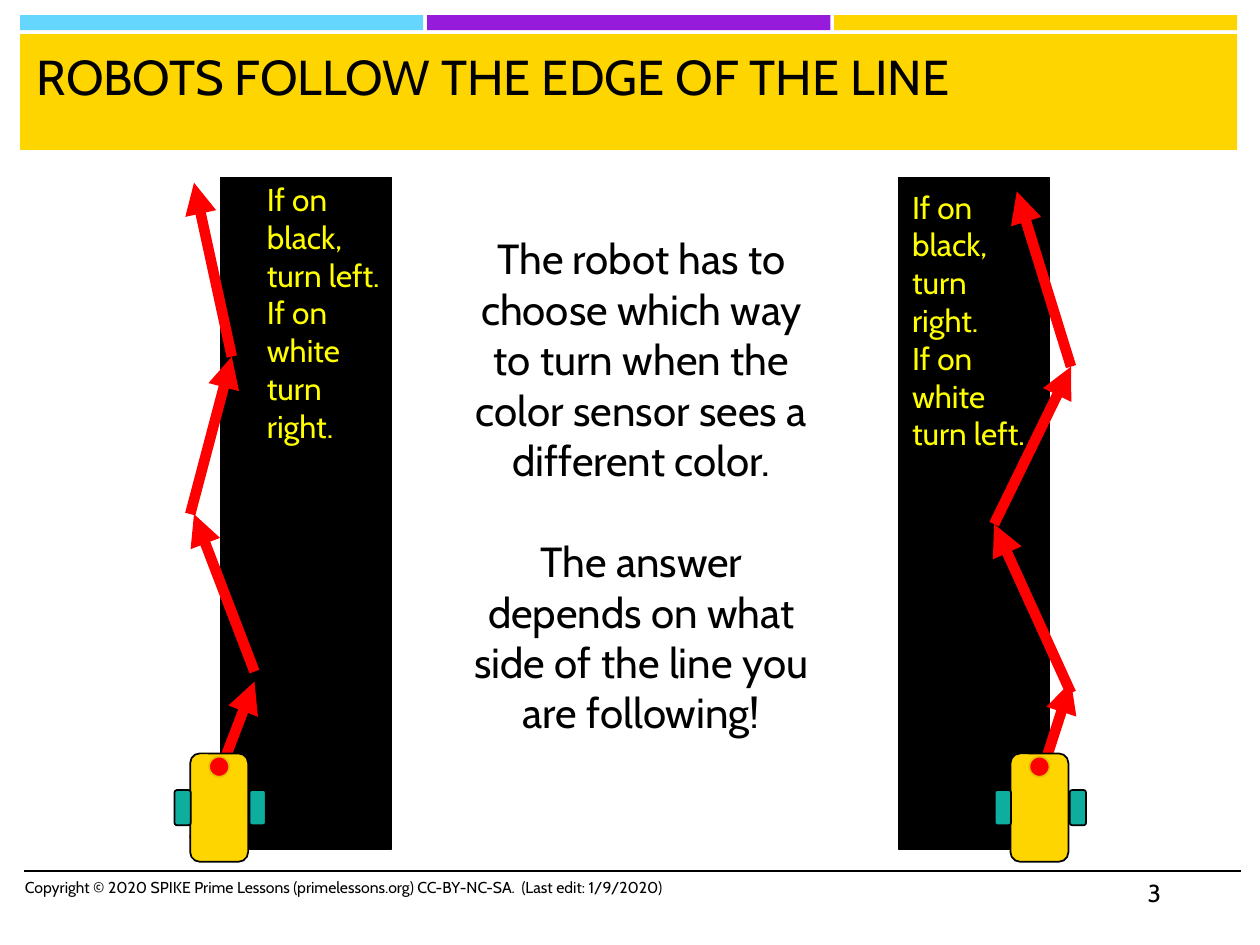
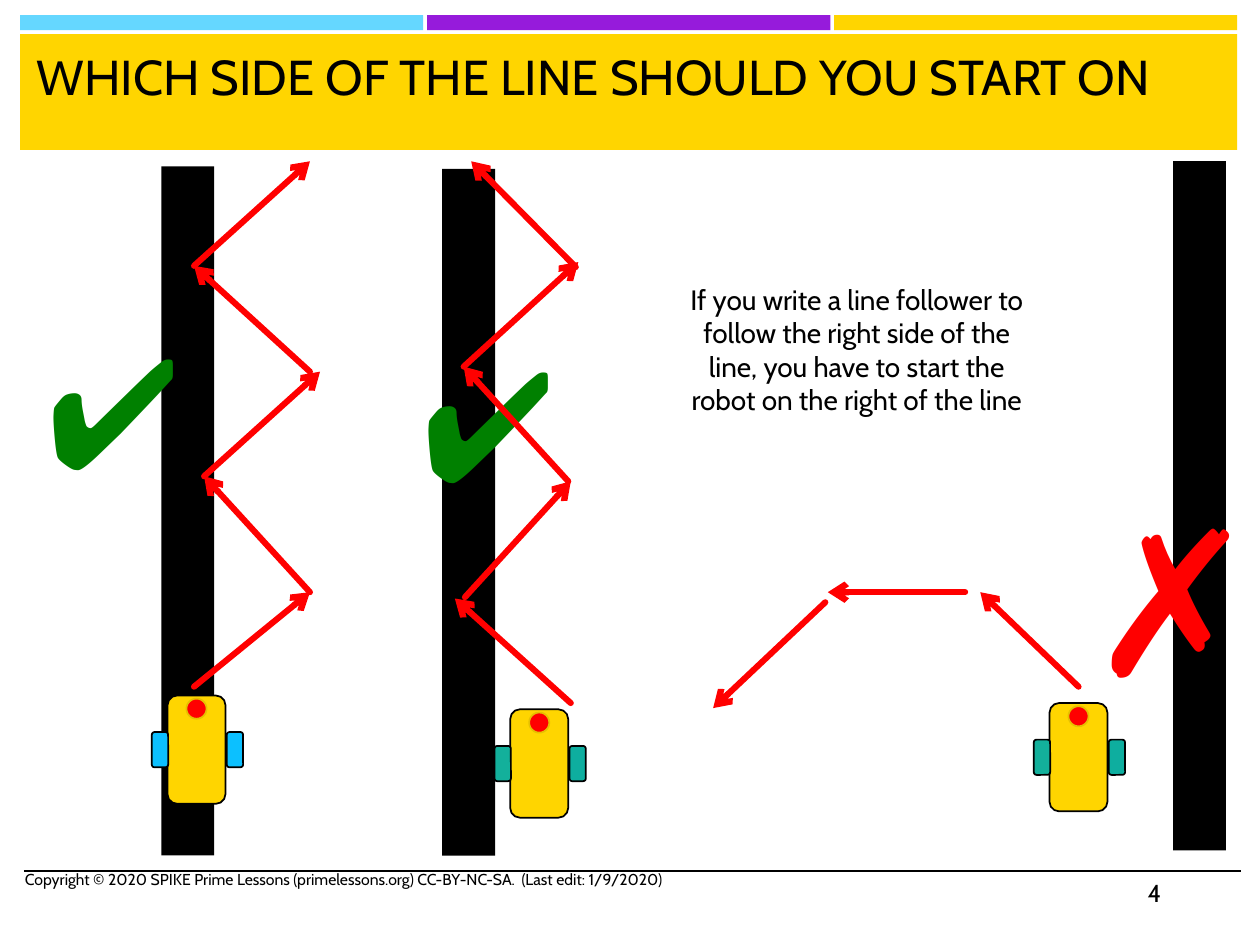
import pptx
import pptx.dml.color
import pptx.enum.shapes
import pptx.enum.text
import pptx.oxml.ns
import pptx.util
import lxml.etree

RGBColor = pptx.dml.color.RGBColor
SHAPE = pptx.enum.shapes.MSO_SHAPE
ALIGN = pptx.enum.text.PP_ALIGN

BLACK = RGBColor(0x00, 0x00, 0x00)
RED = RGBColor(0xFF, 0x00, 0x00)
GREEN = RGBColor(0x00, 0x80, 0x00)
BRIGHT_YELLOW = RGBColor(0xFF, 0xFF, 0x00)
GOLD = RGBColor(0xFF, 0xD5, 0x00)
DARK_GOLD = RGBColor(0xE6, 0xC0, 0x00)
SKY = RGBColor(0x65, 0xD7, 0xFF)
PURPLE = RGBColor(0x96, 0x1B, 0xDB)
TEAL = RGBColor(0x0E, 0xAE, 0x9F)
SEA_GREEN = RGBColor(0x13, 0xB0, 0x9B)
BLUE = RGBColor(0x0C, 0xC0, 0xFF)

FONT = "Cabin"
SYMBOL_FONT = "Arial"
COPYRIGHT = ("Copyright © 2020 SPIKE Prime Lessons (primelessons.org) "
             "CC-BY-NC-SA.\u00a0 (Last edit: 1/9/2020)")

SLIDE_WIDTH = pptx.util.Inches(10)
SLIDE_HEIGHT = pptx.util.Inches(7.5)
GRID_COLUMNS = 100
CELL = SLIDE_WIDTH / GRID_COLUMNS


def cells(*counts):
    return [round(count * CELL) for count in counts]


def write_text(frame, text, *, size, color=BLACK, font=FONT,
               align=ALIGN.LEFT, gap=0):
    frame.word_wrap = True
    frame.auto_size = pptx.enum.text.MSO_AUTO_SIZE.NONE
    frame.vertical_anchor = pptx.enum.text.MSO_ANCHOR.TOP
    frame.text = text
    for index, paragraph in enumerate(frame.paragraphs):
        paragraph.alignment = align
        paragraph.space_before = pptx.util.Pt(gap if index else 0)
        paragraph.font.size = pptx.util.Pt(size)
        paragraph.font.name = font
        paragraph.font.color.rgb = color


def add_text(slide, box, text, **text_format):
    shape = slide.shapes.add_textbox(*cells(*box))
    write_text(shape.text_frame, text, **text_format)


def add_block(shapes, box, fill, kind=SHAPE.RECTANGLE, outline=None, width=1):
    shape = shapes.add_shape(kind, *cells(*box))
    shape.shadow.inherit = False
    shape.fill.solid()
    shape.fill.fore_color.rgb = fill
    if outline is None:
        shape.line.fill.background()
    else:
        shape.line.color.rgb = outline
        shape.line.width = pptx.util.Pt(width)


def add_line(slide, ends, color=BLACK, width=1, head=None, cap="flat"):
    connector = slide.shapes.add_connector(
        pptx.enum.shapes.MSO_CONNECTOR.STRAIGHT, *cells(*ends))
    connector.line.color.rgb = color
    connector.line.width = pptx.util.Pt(width)
    properties = connector.element.spPr
    lxml.etree.SubElement(properties, pptx.oxml.ns.qn("a:effectLst"))
    if head:
        line = properties.find(pptx.oxml.ns.qn("a:ln"))
        line.set("cap", cap)
        tail = lxml.etree.SubElement(line, pptx.oxml.ns.qn("a:tailEnd"))
        tail.set("type", head)


def add_moves(slide, moves, **line_format):
    for ends in moves:
        add_line(slide, ends, color=RED, **line_format)


def add_robot(slide, left, top, left_wheel=TEAL, right_wheel=TEAL):
    shapes = slide.shapes.add_group_shape().shapes
    add_block(shapes, (left, top, 4.6, 8.6), GOLD, SHAPE.ROUNDED_RECTANGLE, BLACK)
    for offset, color in ((4.7, right_wheel), (-1.25, left_wheel)):
        add_block(shapes, (left + offset, top + 2.9, 1.3, 2.8), color,
                  SHAPE.ROUNDED_RECTANGLE, BLACK)
    add_block(shapes, (left + 1.5, top + 0.25, 1.6, 1.6), RED, SHAPE.OVAL, DARK_GOLD)


def add_lesson_slide(presentation, title, number, copyright_top):
    slide = presentation.slides.add_slide(presentation.slide_layouts[5])
    for index, color in enumerate((SKY, PURPLE, GOLD)):
        add_block(slide.shapes, (1.6 + index * 32.3, 1.2, 32, 1.2), color)
    add_block(slide.shapes, (1.6, 2.7, 96.6, 9.2), GOLD)
    add_line(slide, (1.9, 69.1, 98.5, 69.1))

    placeholder = slide.shapes.title
    placeholder.left, placeholder.top, placeholder.width, placeholder.height = cells(
        1.9, 3.2, 95.7, 8.2)
    write_text(placeholder.text_frame, title, size=28)
    placeholder.element.getparent().append(placeholder.element)

    add_text(slide, (1, copyright_top, 53.3, 4), COPYRIGHT, size=9)
    add_text(slide, (90.1, 69.2, 8.4, 4), str(number), size=14)
    return slide


def build_edge_slide(presentation):
    slide = add_lesson_slide(presentation, "ROBOTS FOLLOW THE EDGE OF THE LINE",
                             3, 69.2)
    sides = (
        (17.5, 13.6, ((15.4, 66.6, 20.2, 54.1), (20.2, 53.3, 15.4, 40.8),
                      (15.1, 40.8, 18.4, 28.3), (18.4, 28.3, 15.4, 14.5))),
        (71.3, 12, ((80.7, 67.5, 85, 54.1), (85, 55, 78.9, 41.6),
                    (78.9, 41.6, 85, 29.1), (85, 29.1, 80.7, 15.2))),
    )
    for left, width, moves in sides:
        add_block(slide.shapes, (left, 14.1, width, 53.3), BLACK,
                  outline=BLACK, width=0.75)
        add_moves(slide, moves, width=6, head="triangle")

    add_text(slide, (36.5, 18, 28.8, 45.4),
             "The robot has to choose which way to turn when the color sensor "
             "sees a different color.\n"
             "The answer depends on what side of the line you are following!",
             size=24, align=ALIGN.CENTER, gap=29)
    for left, top, on_black, on_white in ((20.2, 13.8, "left", "right"),
                                          (71.4, 14.4, "right", "left")):
        add_text(slide, (left, top, 11.5, 22.2),
                 f"If on black, turn {on_black}.\nIf on white turn {on_white}.",
                 size=18, color=BRIGHT_YELLOW)
    for left in (15.1, 80.2):
        add_robot(slide, left, 59.8)


def build_start_slide(presentation):
    slide = add_lesson_slide(presentation,
                             "WHICH SIDE OF THE LINE SHOULD YOU START ON", 4, 68.5)
    move_format = dict(width=3.5, head="arrow", cap="rnd")
    attempts = (
        (12.8, 13.2, 54.7, ((15.4, 54.5, 24.6, 47), (24.6, 47, 16.2, 37.8),
                            (16.2, 37.8, 25.4, 29.5), (24.6, 29.5, 15.4, 21.1),
                            (15.4, 21.1, 24.6, 12.8))),
        (35.1, 13.4, 54.5, ((45.3, 55.8, 36.1, 47.5), (36.9, 47.4, 45.3, 38.2),
                            (36.8, 29.1, 45.9, 20.8), (45.7, 21.2, 37.4, 12.8))),
        (93.1, 12.8, 54.7, ((85.6, 54.5, 77.8, 47), (76.6, 47, 65.7, 47),
                            (65.5, 47.8, 56.6, 56.2))),
    )
    for left, top, height, moves in attempts:
        add_block(slide.shapes, (left, top, 4.2, height), BLACK)
        add_moves(slide, moves, **move_format)

    for left, top, height, mark, size, color in (
            (32.5, 25.5, 15.8, "✔", 88, GREEN),
            (85.4, 37.2, 20.4, "✗", 115, RED),
            (2.7, 24.5, 15.8, "✔", 88, GREEN)):
        add_text(slide, (left, top, 10.7, height), mark, size=size,
                 color=color, font=SYMBOL_FONT)

    add_robot(slide, 13.3, 55.2, BLUE, BLUE)
    add_robot(slide, 40.5, 56.3, SEA_GREEN)
    add_robot(slide, 83.3, 55.8, SEA_GREEN)
    add_moves(slide, [(45.1, 38.2, 36.8, 29.1)], **move_format)
    add_text(slide, (53.6, 21.9, 28.8, 11.8),
             "If you write a line follower to follow the right side of the line, "
             "you have to start the robot on the right of the line",
             size=16, align=ALIGN.CENTER)


def main():
    presentation = pptx.Presentation()
    presentation.slide_width = SLIDE_WIDTH
    presentation.slide_height = SLIDE_HEIGHT
    build_edge_slide(presentation)
    build_start_slide(presentation)
    presentation.save("out.pptx")


if __name__ == "__main__":
    main()
